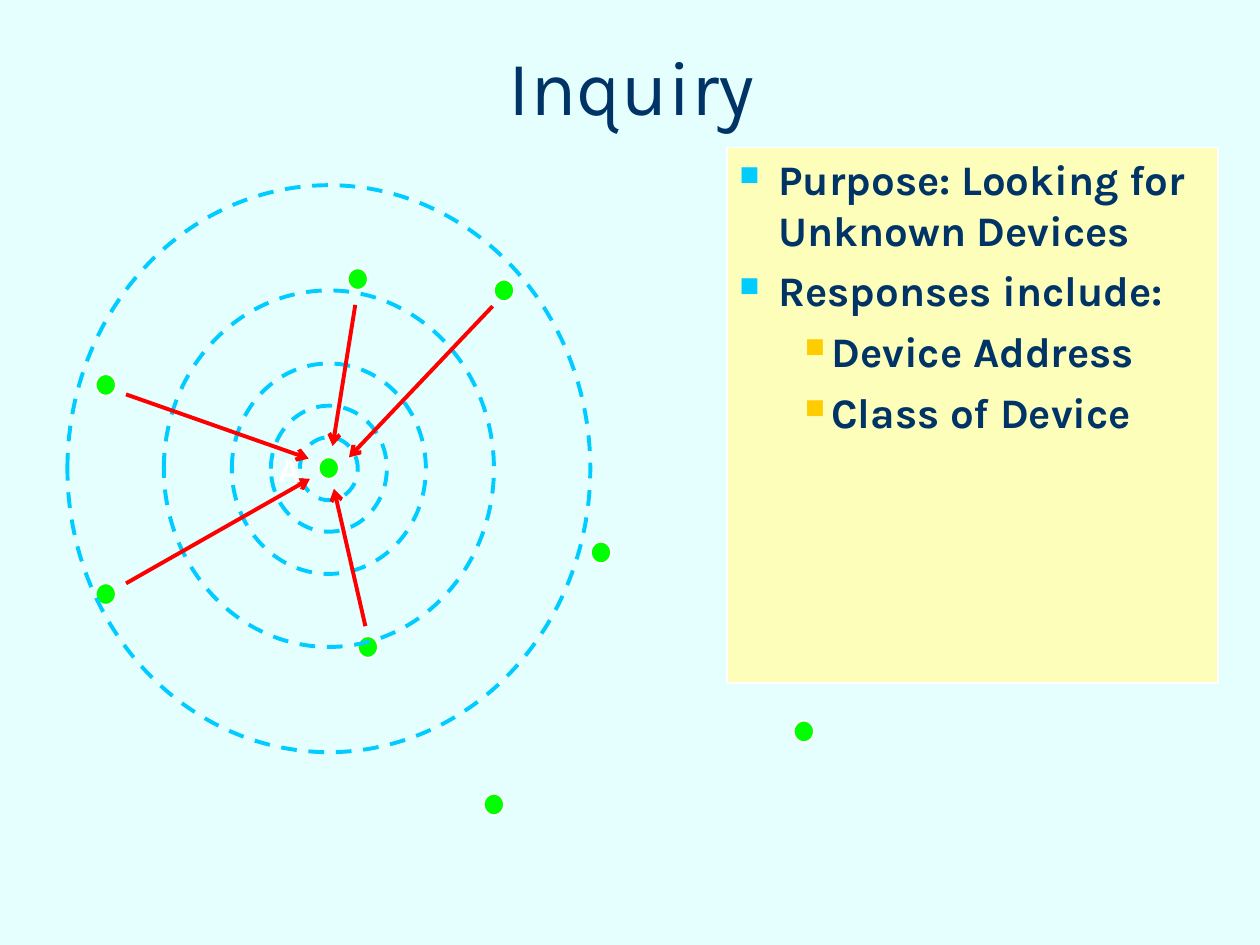
import lxml.etree
import pptx
import pptx.dml.color
import pptx.enum.dml
import pptx.enum.shapes
import pptx.enum.text
import pptx.oxml.ns
import pptx.util

Inches = pptx.util.Inches
Pt = pptx.util.Pt
OVAL = pptx.enum.shapes.MSO_SHAPE.OVAL
ALIGN = pptx.enum.text.PP_ALIGN
NAVY = "003366"


def color(code):
    return pptx.dml.color.RGBColor.from_string(code)


def add_tag(parent, tag, **attrs):
    """Append a DrawingML element to parent."""
    return lxml.etree.SubElement(parent, pptx.oxml.ns.qn(tag), attrs)


deck = pptx.Presentation()
deck.slide_width = Inches(10)
deck.slide_height = Inches(7.5)
slide = deck.slides.add_slide(deck.slide_layouts[6])
slide.background.fill.solid()
slide.background.fill.fore_color.rgb = color("E5FFFF")

# Devices
dots = slide.shapes.add_group_shape()
for left, top in [(3.92, 2.22), (0.76, 2.97), (2.76, 2.13), (2.53, 3.63), (4.69, 4.3),
                  (2.84, 5.05), (6.3, 5.72), (0.76, 4.63), (3.84, 6.3)]:
    dot = dots.shapes.add_shape(OVAL, Inches(left), Inches(top), Inches(0.16), Inches(0.17))
    dot.shadow.inherit = False
    dot.fill.solid()
    dot.fill.fore_color.rgb = color("00FF00")
    dot.line.color.rgb = color("FFFFFF")
    dot.line.width = Pt(1)

# Radio waves around the asking device
mid_x, mid_y = 2.61, 3.72
rings = slide.shapes.add_group_shape()
for width, height in [(0.46, 0.5), (0.92, 1), (1.54, 1.67), (2.62, 2.83), (4.15, 4.5)]:
    ring = rings.shapes.add_shape(OVAL, Inches(mid_x - width / 2), Inches(mid_y - height / 2),
                                  Inches(width), Inches(height))
    ring.shadow.inherit = False
    ring.fill.background()
    ring.line.color.rgb = color("00CCFF")
    ring.line.width = Pt(2.25)
    ring.line.dash_style = pptx.enum.dml.MSO_LINE.DASH

# Responses
arrows = slide.shapes.add_group_shape()
for ends in [(1, 4.63, 2.46, 3.8), (1, 3.13, 2.45, 3.64), (2.9, 4.97, 2.65, 3.88),
             (2.82, 2.42, 2.64, 3.54), (3.91, 2.43, 2.77, 3.63)]:
    arrow = arrows.shapes.add_connector(pptx.enum.shapes.MSO_CONNECTOR.STRAIGHT,
                                        *[Inches(n) for n in ends])
    arrow.line.color.rgb = color("FF0000")
    arrow.line.width = Pt(2.25)
    add_tag(arrow.line._get_or_add_ln(), "a:tailEnd", type="arrow")
    add_tag(arrow._element.spPr, "a:effectLst")

label = slide.shapes.add_textbox(Inches(2.11), Inches(3.53), Inches(0.38), Inches(0.4))
label.text_frame.text = "A"
label.text_frame.word_wrap = False
font = label.text_frame.paragraphs[0].runs[0].font
font.name = "Arial"
font.size = Pt(18)
font.bold = True
font.color.rgb = color("FFFFFF")

# Notes panel
panel = slide.shapes.add_shape(pptx.enum.shapes.MSO_SHAPE.RECTANGLE,
                               Inches(5.77), Inches(1.17), Inches(3.9), Inches(4.25))
panel.shadow.inherit = False
panel.fill.solid()
panel.fill.fore_color.rgb = color("FCFEB9")
panel.line.color.rgb = color("FFFFFF")
panel.line.width = Pt(1)
frame = panel.text_frame
frame.word_wrap = True
frame.vertical_anchor = pptx.enum.text.MSO_ANCHOR.TOP

points = [("Purpose: Looking for Unknown Devices", 0), ("Responses include:", 0),
          ("Device Address", 1), ("Class of Device", 1)]
styles = [(0.31, -0.31, "00CCFF"), (0.73, -0.21, "FFCC00")]
frame.text = "\n".join(text for text, level in points)
for para, (text, level) in zip(frame.paragraphs, points):
    margin, indent, tint = styles[level]
    para.level = level
    para.alignment = ALIGN.LEFT
    para.space_before = Pt(6)
    props = para._p.get_or_add_pPr()
    props.set("marL", str(Inches(margin)))
    props.set("indent", str(Inches(indent)))
    add_tag(add_tag(props, "a:buClr"), "a:srgbClr", val=tint)
    add_tag(props, "a:buSzPct", val="65000")
    add_tag(props, "a:buChar", char="■")
    font = para.runs[0].font
    font.name = "Karla"
    font.size = Pt(24)
    font.bold = True
    font.color.rgb = color(NAVY)

title = slide.shapes.add_textbox(Inches(0.62), Inches(0.3), Inches(8.79), Inches(0.75))
title.text_frame.text = "Inquiry"
title.text_frame.word_wrap = True
title.text_frame.vertical_anchor = pptx.enum.text.MSO_ANCHOR.MIDDLE
head = title.text_frame.paragraphs[0]
head.alignment = ALIGN.CENTER
font = head.runs[0].font
font.name = "Karla"
font.size = Pt(44)
font.color.rgb = color(NAVY)

deck.save("out.pptx")
